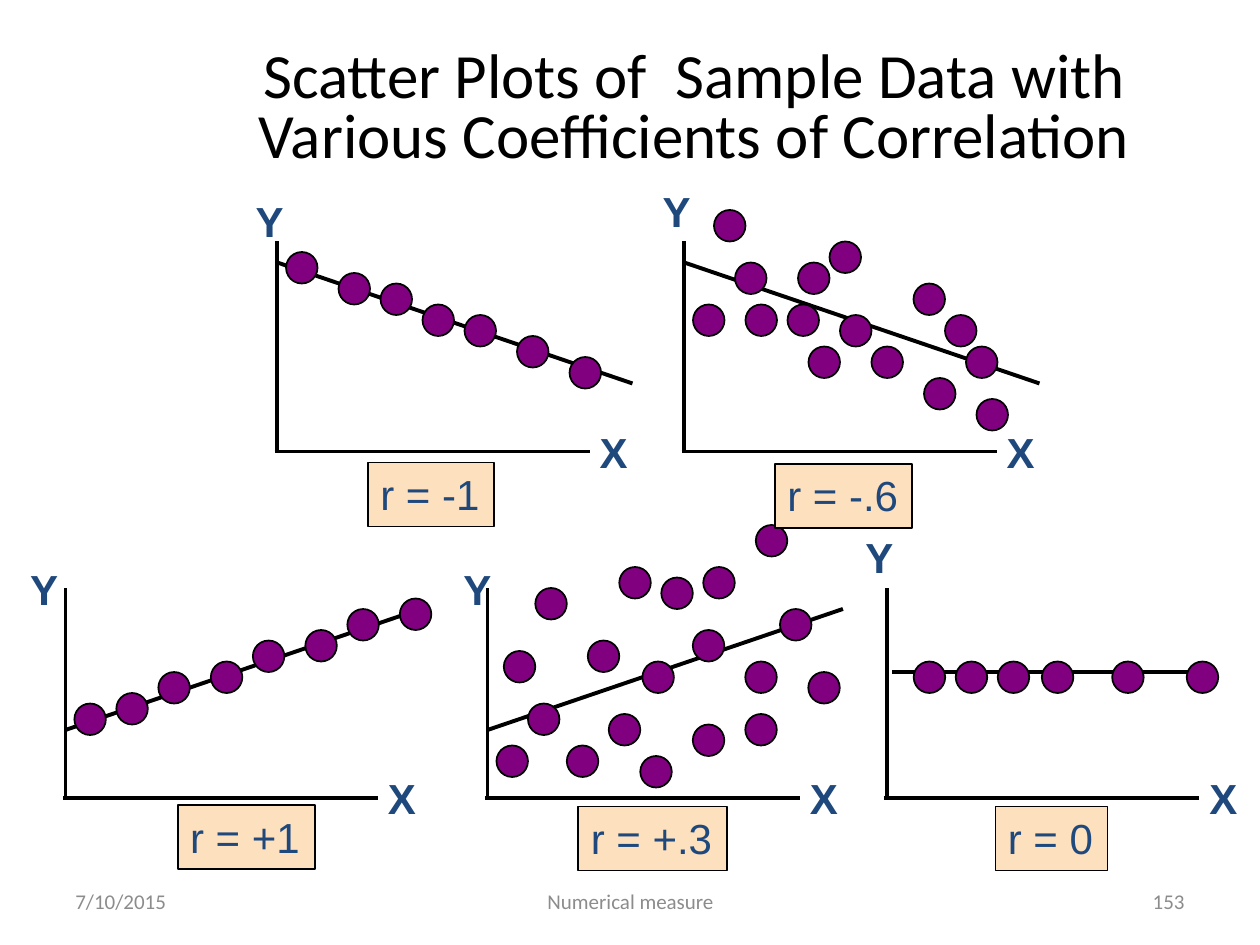
from pptx import Presentation
from pptx.dml.color import RGBColor
from pptx.enum.shapes import MSO_CONNECTOR, MSO_SHAPE
from pptx.enum.text import MSO_ANCHOR, MSO_AUTO_SIZE, PP_ALIGN
from pptx.oxml.ns import qn
from pptx.util import Inches, Pt

STRAIGHT = MSO_CONNECTOR.STRAIGHT
OVAL, RECT = MSO_SHAPE.OVAL, MSO_SHAPE.RECTANGLE
TOP, MIDDLE = MSO_ANCHOR.TOP, MSO_ANCHOR.MIDDLE
LEFT, CENTER, RIGHT = PP_ALIGN.LEFT, PP_ALIGN.CENTER, PP_ALIGN.RIGHT
GROW = MSO_AUTO_SIZE.SHAPE_TO_FIT_TEXT

COLORS = {"ink": "000000", "dot": "800080", "label": "1F497D",
          "box": "FDE0BD", "footer": "8C8C8C"}
TITLE = {"name": "Calibri", "size": Pt(36)}
AXIS = {"name": "Arial", "size": Pt(24), "bold": True}
LABEL = {"name": "Arial", "size": Pt(24), "bold": False}
FOOTER = {"name": "Calibri", "size": Pt(12)}

CELL = 1 / 12
DOT = 3 * CELL
DOT_INSET = 0.07
ROW_1, ROW_2 = 43 * CELL, 76 * CELL
DOWN = (0, 1.5, 2.82, 0.54)
UP = (0, 0.54, 2.82, 1.5)
FLAT = (0.04, 1, 2.54, 1)

PLOTS = [
    {"foot": (2.2, ROW_1), "y_at": (1.93, 1.5), "trend": DOWN,
     "label": ("r = -1", 2.92, 3.67, 1),
     "dots": [(0, 19), (5, 17), (9, 16), (13, 14), (17, 13), (22, 11), (27, 9)]},
    {"foot": (5.43, ROW_1), "y_at": (5.16, 1.42), "trend": DOWN,
     "label": ("r = -.6", 6.15, 3.68, 1.09),
     "dots": [(27, 5), (26, 10), (2, 23), (4, 18), (22, 7), (0, 14), (17, 10),
              (10, 18), (13, 20), (24, 13), (5, 14), (21, 16), (9, 14),
              (14, 13), (11, 10)]},
    {"foot": (0.52, ROW_2), "y_at": (0.14, 4.42), "trend": UP,
     "label": ("r = +1", 1.41, 6.39, 1.09),
     "dots": [(0, 9), (4, 10), (8, 12), (13, 13), (17, 15), (22, 16), (26, 18),
              (31, 19)]},
    {"foot": (3.87, ROW_2), "y_at": (3.58, 4.42), "trend": UP,
     "label": ("r = +.3", 4.59, 6.4, 1.18),
     "dots": [(0, 5), (3, 9), (24.7, 26), (27, 18), (6.7, 5), (29.7, 12),
              (18.7, 7), (19.7, 22), (11.7, 22), (0.7, 14), (3.7, 20),
              (8.7, 15), (23.7, 13), (13.9, 13), (13.7, 4), (23.7, 8),
              (18.7, 16), (10.7, 8), (15.7, 21)]},
    {"foot": (7.04, ROW_2), "y_at": (6.77, 4.17), "trend": FLAT,
     "label": ("r = 0", 7.9, 6.4, 0.89),
     "dots": [(1.7, 13), (5.7, 13), (9.7, 13), (13.9, 13), (20.6, 13),
              (27.7, 13)]},
]
FOOTERS = [("7/10/2015", 0.5, 2.33, LEFT),
           ("Numerical measure", 3.42, 3.17, CENTER),
           ("153", 7.17, 2.33, RIGHT)]


def rgb(key):
    return RGBColor.from_string(COLORS[key])


def write(tf, text, style, color, align=LEFT, anchor=TOP):
    tf.vertical_anchor = anchor
    p = tf.paragraphs[0]
    p.alignment = align
    r = p.add_run()
    r.text = text
    for name, value in style.items():
        setattr(r.font, name, value)
    r.font.color.rgb = rgb(color)
    return p


def add_title(s, text, *box):
    sp = s.shapes.title
    sp.left, sp.top, sp.width, sp.height = map(Inches, box)
    p = write(sp.text_frame, text, TITLE, "ink", CENTER, MIDDLE)
    p.line_spacing = 0.8


def add_text(s, text, box, style, color, align=LEFT, anchor=TOP, wrap=True):
    sp = s.shapes.add_textbox(*map(Inches, box))
    sp.text_frame.word_wrap = wrap
    write(sp.text_frame, text, style, color, align, anchor)


def add_line(s, foot, ends, width):
    x, y = foot
    x1, h1, x2, h2 = ends
    c = s.shapes.add_connector(
        STRAIGHT, *map(Inches, (x + x1, y - h1, x + x2, y - h2)))
    c.line.color.rgb = rgb("ink")
    c.line.width = Pt(width)
    sp_pr = c._element.spPr
    sp_pr.append(sp_pr.makeelement(qn("a:effectLst"), {}))


def add_filled(s, kind, box, color):
    sp = s.shapes.add_shape(kind, *map(Inches, box))
    sp.shadow.inherit = False
    sp.fill.solid()
    sp.fill.fore_color.rgb = rgb(color)
    sp.line.color.rgb = rgb("ink")
    sp.line.width = Pt(1)
    return sp


def add_label(s, text, x, y, w):
    tf = add_filled(s, RECT, (x, y, w, 0.51), "box").text_frame
    tf.word_wrap = False
    tf.auto_size = GROW
    write(tf, text, LABEL, "label")


def add_plot(s, foot, y_at, trend, dots):
    x, y = foot
    add_line(s, foot, (0, 0, 0, 20 * CELL), 2)
    add_line(s, foot, (-0.02, 0, 2.48, 0), 2)
    add_line(s, foot, trend, 2 if trend == FLAT else 2.25)
    for text, at in (("Y", y_at), ("X", (x + 2.46, y - DOT))):
        add_text(s, text, (*at, 0.42, 0.5), AXIS, "label", wrap=False)
    for col, row in dots:
        box = (x + DOT_INSET + col * CELL, y - row * CELL, DOT, DOT)
        add_filled(s, OVAL, box, "dot")


def main():
    prs = Presentation()
    prs.slide_width, prs.slide_height = Inches(10), Inches(7.5)
    s = prs.slides.add_slide(prs.slide_layouts.get_by_name("Title Only"))
    add_title(s, "Scatter Plots of  Sample Data with Various Coefficients "
                 "of Correlation", 1.25, 0.25, 8.52, 1.25)
    for plot in PLOTS:
        add_plot(s, plot["foot"], plot["y_at"], plot["trend"], plot["dots"])
    for plot in PLOTS:
        add_label(s, *plot["label"])
    for text, x, w, align in FOOTERS:
        add_text(s, text, (x, 6.95, w, 0.4), FOOTER, "footer", align, MIDDLE)
    prs.save("out.pptx")


if __name__ == "__main__":
    main()
